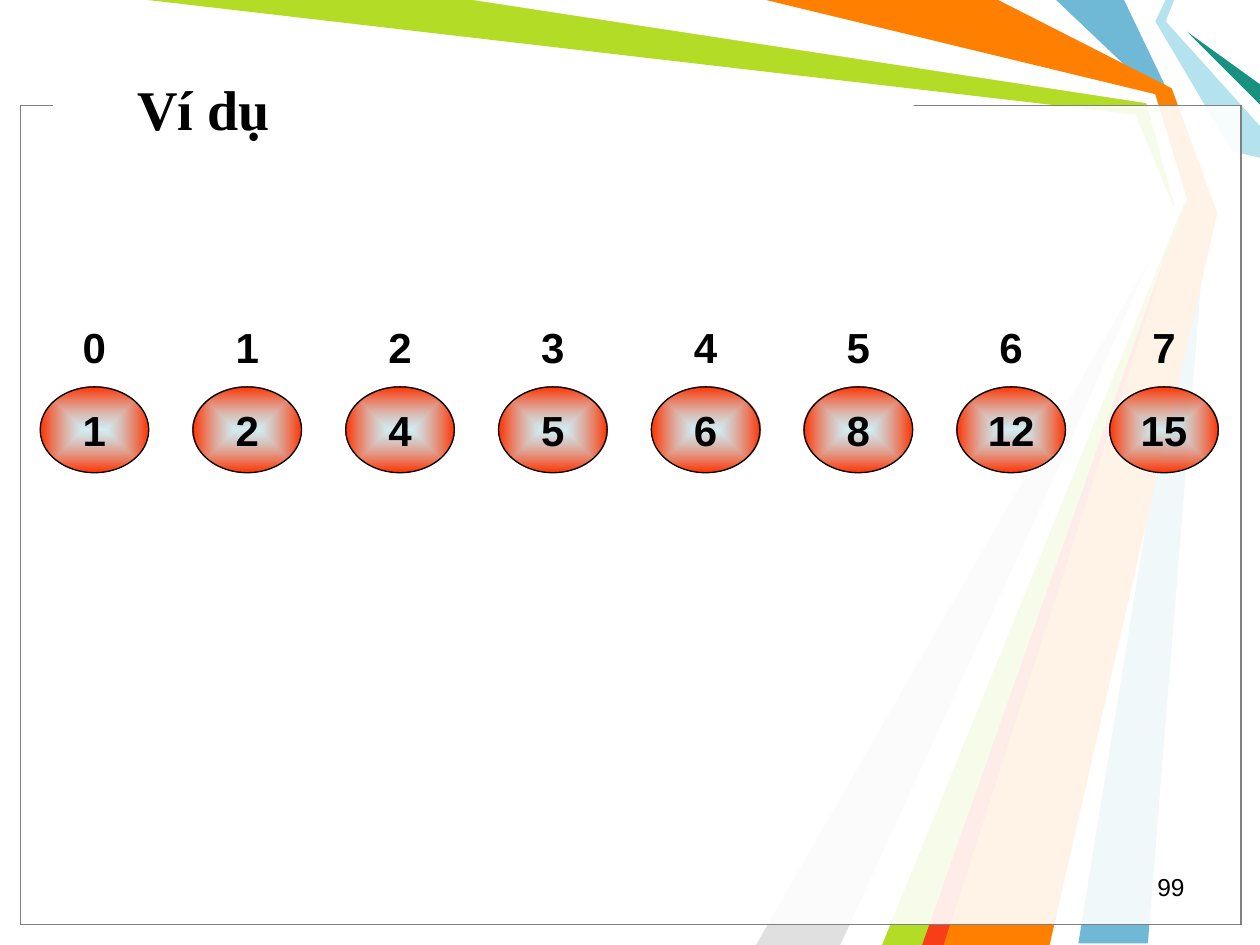
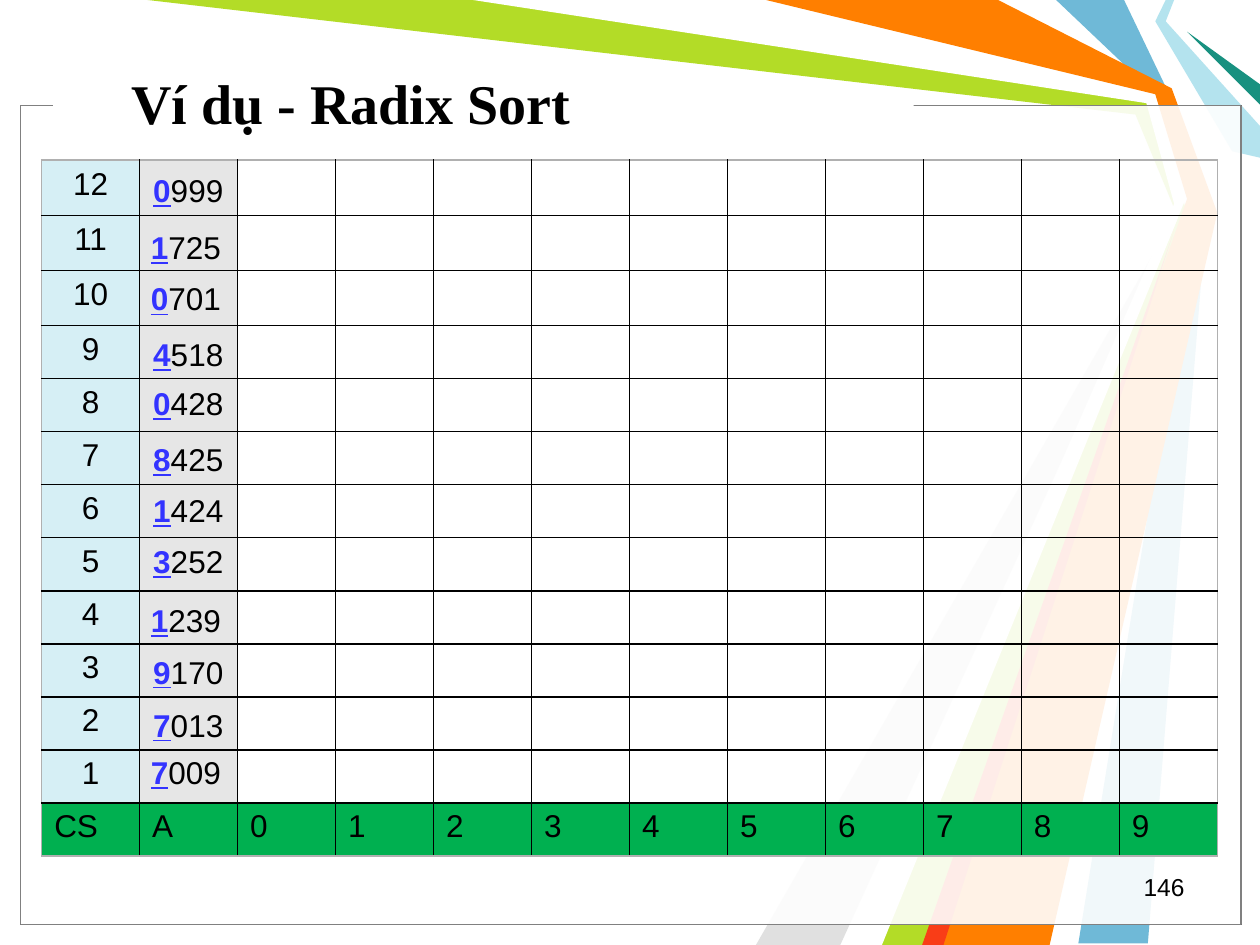
import dataclasses

import pptx
import pptx.dml.color
import pptx.enum.shapes
import pptx.enum.text
import pptx.oxml
import pptx.oxml.ns
import pptx.util

Cm = pptx.util.Cm
Pt = pptx.util.Pt
Align = pptx.enum.text.PP_ALIGN
Anchor = pptx.enum.text.MSO_ANCHOR
Shapes = pptx.enum.shapes.MSO_SHAPE


@dataclasses.dataclass(frozen=True)
class Theme:
    black: str = "000000"
    white: str = "FFFFFF"
    frame: str = "808080"
    outer_border: str = "B0B0B0"
    pale_blue: str = "B4E3EE"
    ball_rim: str = "FF3300"
    digit: str = "3333FF"
    index_cell: str = "D6EFF5"
    value_cell: str = "E6E6E6"
    bucket_cell: str = "00B050"
    title_font: str = "Times New Roman"
    body_font: str = "Arial"
    title_size: int = 32
    ball_size: int = 24
    table_size: int = 18
    number_size: int = 14


theme = Theme()


def color(value):
    return pptx.dml.color.RGBColor.from_string(value)


def style(font, size, value=theme.black, bold=False, name=theme.body_font):
    font.name = name
    font.size = Pt(size)
    font.bold = bold
    font.color.rgb = color(value)


deck = pptx.Presentation()
deck.slide_width = Cm(25.4)
deck.slide_height = Cm(19.05)
layout = deck.slide_layouts[5]

pages = []
for title, left, top, height, number in [
    ("Ví dụ", 2.51, 1.19, 1.98, "99"),
    ("Ví dụ - Radix Sort", 2.39, 1.35, 1.4, "146"),
]:
    page = deck.slides.add_slide(layout)
    pages.append(page)
    heading = page.shapes.title
    heading.left, heading.top = Cm(left), Cm(top)
    heading.width, heading.height = Cm(17.5), Cm(height)
    frame = heading.text_frame
    frame.text = title
    frame.auto_size = pptx.enum.text.MSO_AUTO_SIZE.NONE
    frame.vertical_anchor = Anchor.MIDDLE
    frame.paragraphs[0].alignment = Align.LEFT
    style(frame.paragraphs[0].runs[0].font, theme.title_size, bold=True, name=theme.title_font)

    box = page.shapes.add_textbox(Cm(18.21), Cm(17.45), Cm(5.92), Cm(0.84))
    box.text_frame.word_wrap = True
    box.text_frame.text = number
    para = box.text_frame.paragraphs[0]
    para.alignment = Align.RIGHT
    style(para.runs[0].font, theme.number_size)

sort_page, radix_page = pages

ribbons = [
    ("6FB9D7", [(22.66, 0), (23.6, 1.96), (24.33, 4.24), (23.14, 19.02), (21.74, 19.02),
                (24.13, 4.24), (23.29, 1.9), (21.29, 0)]),
    ("B3DC27", [(2.97, 0), (9.73, 0), (23.22, 1.98), (23.93, 4.29), (18.85, 19.05),
                (17.58, 19.05), (23.75, 4.39), (22.89, 2.31)]),
    ("E0E0E0", [(16.94, 19.05), (23.55, 4.6), (15.24, 19.05)]),
    (theme.white, [(9.53, 0), (23.11, 2.08), (23.67, 4.11), (17.15, 19.05), (17.78, 19.05),
                   (23.9, 4.01), (23.29, 1.9), (15.24, 0)]),
    (theme.pale_blue, [(23.5, 0), (23.29, 0.43), (24.84, 3.05), (25.4, 3.18), (25.4, 2.54),
                       (23.5, 0.43), (23.67, 0)]),
    ("189180", [(25.4, 2.11), (23.93, 0.64), (25.4, 1.7)]),
    ("FF7F00", [(15.44, 0), (20.12, 0), (23.62, 1.78), (24.54, 4.29), (21.16, 19.05),
                (18.62, 19.05), (23.93, 4.01), (23.29, 1.9)]),
    ("F93D17", [(18.59, 19.05), (23.67, 4.65), (19.02, 19.05)]),
]
backdrop = []
for fill, points in ribbons:
    corners = [(Cm(x), Cm(y)) for x, y in points]
    builder = sort_page.shapes.build_freeform(*corners[0])
    builder.add_line_segments(corners[1:], close=True)
    ribbon = builder.convert_to_shape()
    ribbon.fill.solid()
    ribbon.fill.fore_color.rgb = color(fill)
    ribbon.line.fill.background()
    backdrop.append(ribbon)

for line in (theme.black, theme.frame):
    panel = sort_page.shapes.add_shape(Shapes.RECTANGLE, Cm(0.41), Cm(2.13), Cm(24.61), Cm(16.51))
    panel.fill.solid()
    panel.fill.fore_color.rgb = color(theme.white)
    tint = panel.element.spPr.find(".//" + pptx.oxml.ns.qn("a:srgbClr"))
    tint.append(pptx.oxml.parse_xml(f'<a:alpha {pptx.oxml.ns.nsdecls("a")} val="69000"/>'))
    panel.line.color.rgb = color(line)
    panel.line.width = Pt(0.75)
    backdrop.append(panel)

title_gap = sort_page.shapes.add_shape(Shapes.RECTANGLE, Cm(1.07), Cm(1.88), Cm(17.35), Cm(0.43))
title_gap.fill.solid()
title_gap.fill.fore_color.rgb = color(theme.white)
title_gap.line.fill.background()
backdrop.append(title_gap)

for order, shape in enumerate(backdrop):
    shape.shadow.inherit = False
    shape.element.nvSpPr.cNvPr.id = 100 + order
    layout.shapes.element.insert(2 + order, shape.element)

ball_gradient = f"""
<a:gradFill {pptx.oxml.ns.nsdecls("a")} rotWithShape="1"><a:gsLst>
<a:gs pos="0"><a:srgbClr val="{theme.pale_blue}"><a:alpha val="60000"/></a:srgbClr></a:gs>
<a:gs pos="100000"><a:srgbClr val="{theme.ball_rim}"/></a:gs></a:gsLst>
<a:path path="shape"><a:fillToRect l="50000" t="50000" r="50000" b="50000"/></a:path>
</a:gradFill>"""

for index, value in enumerate([1, 2, 4, 5, 6, 8, 12, 15]):
    for label, top, height in [(index, 6.15, 1.68), (value, 7.8, 1.73)]:
        ball = sort_page.shapes.add_shape(
            Shapes.OVAL, Cm(0.81 + 3.08 * index), Cm(top), Cm(2.19), Cm(height))
        ball.shadow.inherit = False
        if top == 7.8:
            ball.element.spPr.insert(2, pptx.oxml.parse_xml(ball_gradient))
            ball.line.color.rgb = color(theme.black)
            ball.line.width = Pt(0.75)
        else:
            ball.fill.background()
            ball.line.fill.background()
        frame = ball.text_frame
        frame.word_wrap = False
        frame.vertical_anchor = Anchor.MIDDLE
        frame.text = str(label)
        frame.paragraphs[0].alignment = Align.CENTER
        style(frame.paragraphs[0].runs[0].font, theme.ball_size, bold=True)

buckets = ["CS", "A", *map(str, range(10))]
row_heights = [1.11] * 3 + [1.07] * 10
last_row, last_column = len(row_heights) - 1, len(buckets) - 1
table = radix_page.shapes.add_table(
    len(row_heights), len(buckets), Cm(0.84), Cm(3.23), Cm(23.7), Cm(sum(row_heights))).table
table.first_row = False
table.horz_banding = False
for column in table.columns:
    column.width = Cm(23.7 / len(buckets))

for r, height in enumerate(row_heights):
    table.rows[r].height = Cm(height)
    for c, bucket in enumerate(buckets):
        cell = table.cell(r, c)
        fill = None
        if r == last_row:
            cell.text, fill = bucket, theme.bucket_cell
        elif c == 0:
            cell.text, fill = str(last_row - r), theme.index_cell
            cell.text_frame.paragraphs[0].alignment = Align.CENTER
        elif c == 1:
            fill = theme.value_cell
        if fill:
            cell.fill.solid()
            cell.fill.fore_color.rgb = color(fill)
        else:
            cell.fill.background()
        style(cell.text_frame.paragraphs[0].font, theme.table_size)
        for run in cell.text_frame.paragraphs[0].runs:
            style(run.font, theme.table_size)
        outer = [c == 0, c == last_column, r == 0, r == last_row]
        for order, (side, is_outer) in enumerate(zip("LRTB", outer)):
            border = theme.outer_border if is_outer else theme.black
            cell._tc.get_or_add_tcPr().insert(order, pptx.oxml.parse_xml(
                f'<a:ln{side} {pptx.oxml.ns.nsdecls("a")} w="12700"><a:solidFill>'
                f'<a:srgbClr val="{border}"/></a:solidFill></a:ln{side}>'))

for value, left, top in [
    ("0999", 2.84, 3.33), ("1725", 2.79, 4.47), ("0701", 2.79, 5.51), ("4518", 2.84, 6.63),
    ("0428", 2.84, 7.62), ("8425", 2.84, 8.74), ("1424", 2.84, 9.78), ("3252", 2.84, 10.8),
    ("1239", 2.79, 11.99), ("9170", 2.84, 13.03), ("7013", 2.84, 14.1), ("7009", 2.79, 15.06),
]:
    box = radix_page.shapes.add_textbox(Cm(left), Cm(top), Cm(1.93), Cm(1.02))
    box.text_frame.word_wrap = False
    para = box.text_frame.paragraphs[0]
    span = para.add_run()
    span.text = value[0]
    style(span.font, theme.table_size, theme.digit, bold=True)
    span.font.underline = True
    span = para.add_run()
    span.text = value[1:]
    style(span.font, theme.table_size)

deck.save("out.pptx")
